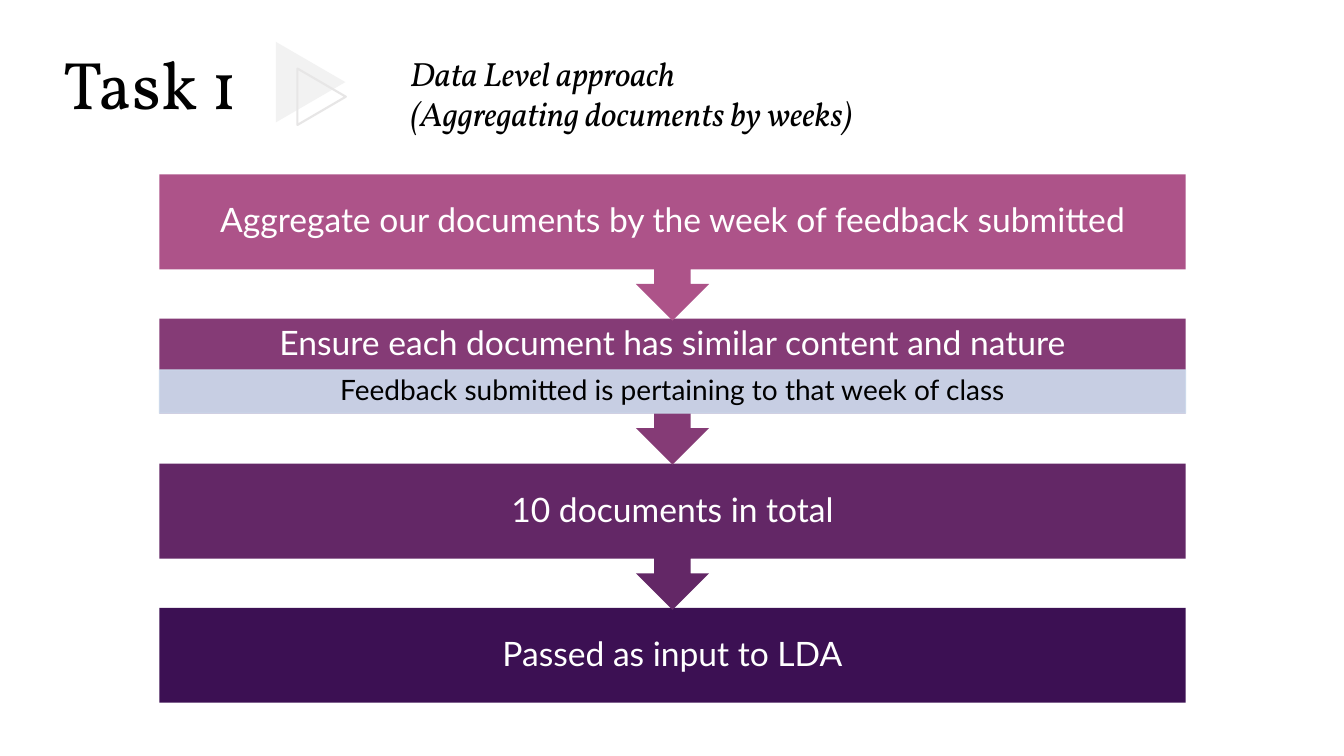
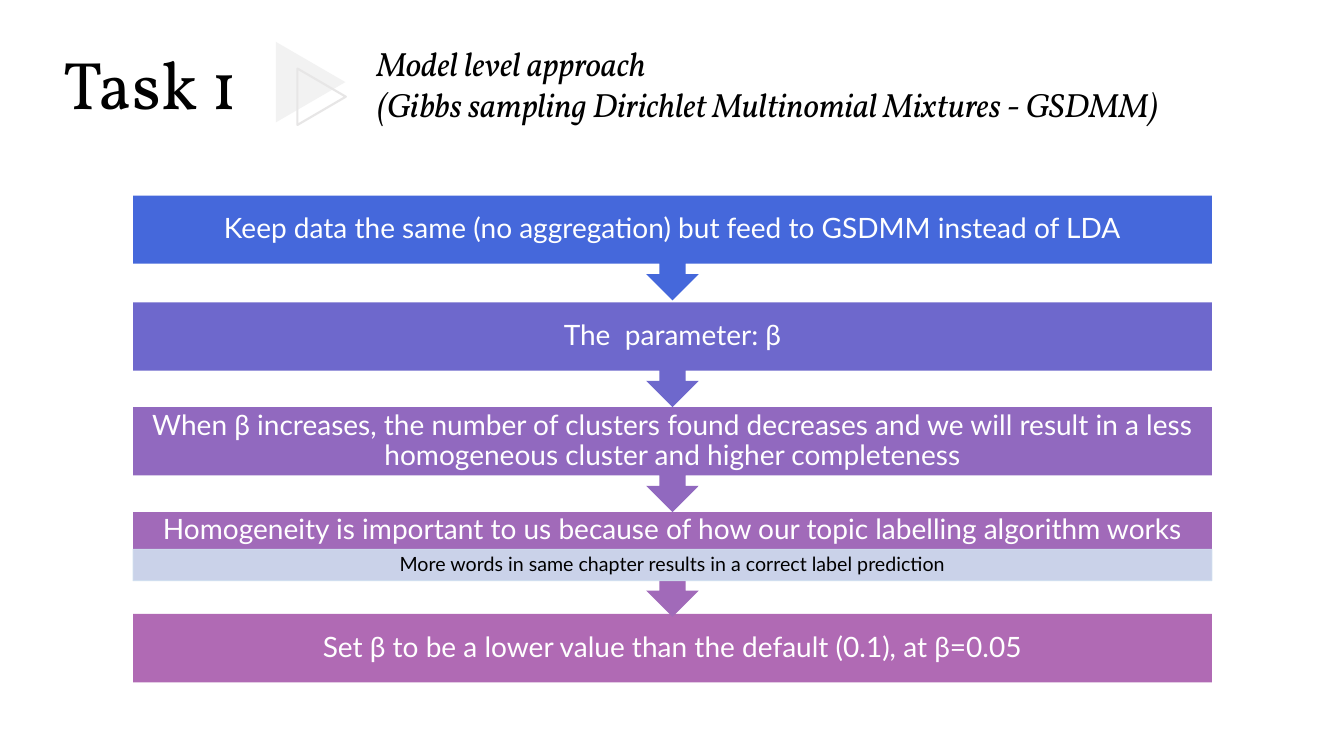
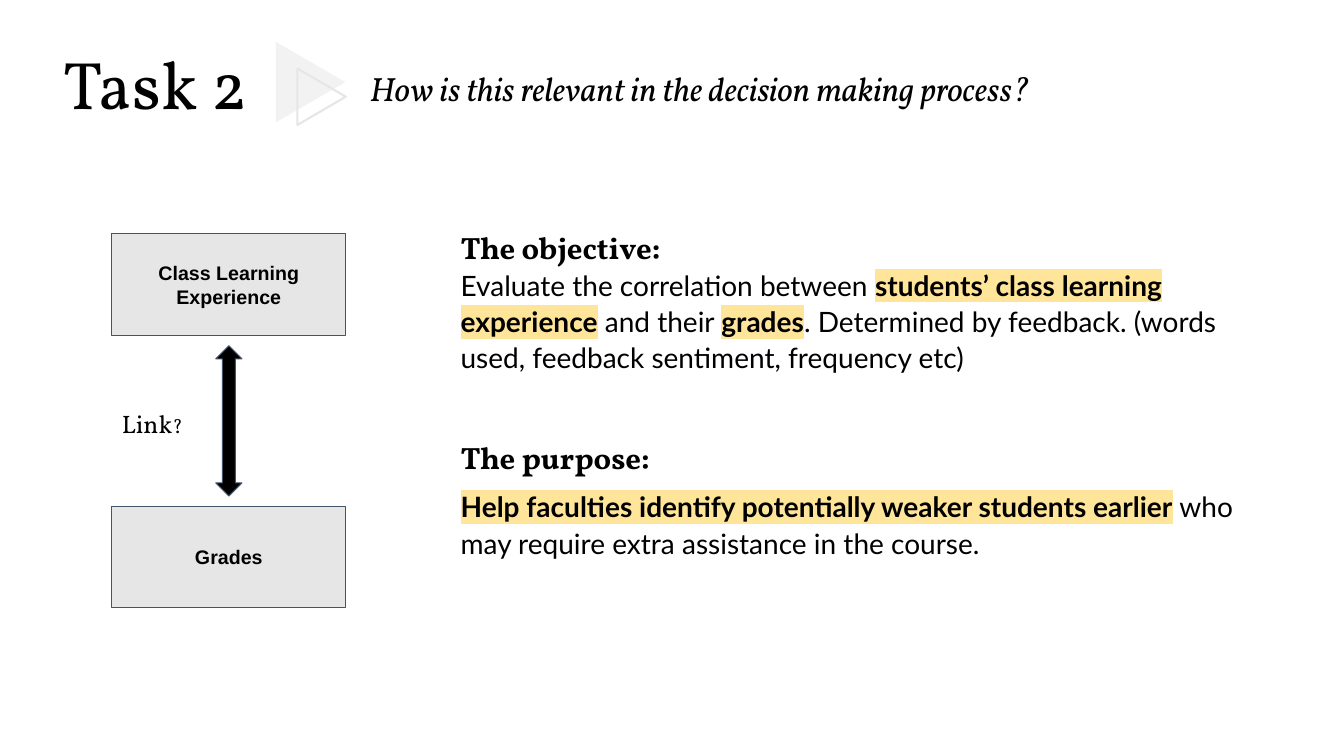
from lxml.etree import SubElement
from pptx import Presentation
from pptx.dml.color import RGBColor
from pptx.enum.shapes import MSO_SHAPE as Preset
from pptx.enum.text import MSO_ANCHOR as Anchor, MSO_AUTO_SIZE as AutoSize, PP_ALIGN as Align
from pptx.oxml.ns import qn
from pptx.util import Inches, Pt

rgb = RGBColor.from_string
SERIF, SANS, LABEL = "Vollkorn", "Lato", "Arial"
BLACK, WHITE, GREY, SLATE = "000000", "FFFFFF", "E7E6E6", "44546A"
PALE_BLUE, HIGHLIGHT = "CFDEEF", "FFE599"


def add_block(shapes, preset, box, fill=None, line=None, weight=0.75):
    block = shapes.add_shape(preset, *map(Inches, box))
    block.shadow.inherit = False
    if fill:
        block.fill.solid()
        block.fill.fore_color.rgb = rgb(fill)
    else:
        block.fill.background()
    if line:
        block.line.color.rgb = rgb(line)
        block.line.width = Pt(weight)
    else:
        block.line.fill.background()
    return block


def write(frame, text, size, font, color=BLACK, align=Align.LEFT, anchor=Anchor.MIDDLE,
          spacing=1.0, bold=False, italic=False, insets=(0.1, 0.05, 0.1, 0.05)):
    frame.text = text
    frame.word_wrap = True
    frame.auto_size = AutoSize.NONE
    frame.vertical_anchor = anchor
    (frame.margin_left, frame.margin_top,
     frame.margin_right, frame.margin_bottom) = map(Inches, insets)
    for paragraph in frame.paragraphs:
        paragraph.alignment = align
        paragraph.line_spacing = spacing
        for run in paragraph.runs:
            run.font.name = font
            run.font.size = Pt(size)
            run.font.bold = bold
            run.font.italic = italic
            run.font.color.rgb = rgb(color)


prs = Presentation()
prs.slide_width, prs.slide_height = Inches(13.33), Inches(7.5)

headers = [
    ("Task 1", "Data Level approach\n(Aggregating documents by weeks)", (3.97, 0.26, 8.34, 1.32)),
    ("Task 1", "Model level approach\n(Gibbs sampling Dirichlet Multinomial Mixtures - GSDMM)",
     (3.64, 0.17, 8.77, 1.32)),
    ("Task 2", "How is this relevant in the decision making process?", (3.57, 0.62, 9.29, 0.5)),
]
slides = []
for task, subtitle, subtitle_box in headers:
    slide = prs.slides.add_slide(prs.slide_layouts[5])
    slides.append(slide)
    title = slide.shapes.title
    title.left, title.top, title.width, title.height = map(Inches, (0.53, 0.37, 2.21, 0.91))
    write(title.text_frame, task, 48, SERIF, anchor=Anchor.TOP)

    ornament = slide.shapes.add_group_shape().shapes
    for box, fill, line in [((2.68, 0.47, 0.8, 0.69), "F2F2F2", None),
                            ((2.91, 0.72, 0.56, 0.48), None, GREY)]:
        add_block(ornament, Preset.ISOSCELES_TRIANGLE, box, fill, line, 1.5).rotation = 90

    heading = slide.shapes.add_textbox(*map(Inches, subtitle_box))
    write(heading.text_frame, subtitle, 24, SERIF, italic=True)

data_steps = [
    (1.73, "AD5389", "Aggregate our documents by the week of feedback submitted", None),
    (3.16, "853B76", "Ensure each document has similar content and nature",
     "Feedback submitted is pertaining to that week of class"),
    (4.6, "632766", "10 documents in total", None),
    (6.03, "3C1053", "Passed as input to LDA", None),
]
model_steps = [
    (1.94, "4568DB", "Keep data the same (no aggregation) but feed to GSDMM instead of LDA", None),
    (3, "6E68CC", "The  parameter: β", None),
    (4.04, "9169BF", "When β increases, the number of clusters found decreases and we will "
     "result in a less homogeneous cluster and higher completeness", None),
    (5.08, "A16AB9", "Homogeneity is important to us because of how our topic labelling "
     "algorithm works", "More words in same chapter results in a correct label prediction"),
    (6.09, "B06AB4", "Set β to be a lower value than the default (0.1), at β=0.05", None),
]
flows = [
    (slides[0], data_steps, 1.58, 10.18, 0.94, 1.45, 0.43, 24, 20, 0.19),
    (slides[1], model_steps, 1.32, 10.7, 0.68, 1.04, 0.31, 20, 14, 0.12),
]
for (slide, steps, left, width, bar_height, arrow_height, detail_height,
     step_size, detail_size, side) in flows:
    for top, color, step, detail in reversed(steps):
        last = step == steps[-1][2]
        bar = add_block(slide.shapes, Preset.RECTANGLE if last else Preset.DOWN_ARROW_CALLOUT,
                        (left, top, width, bar_height if last else arrow_height), color)
        if not last:
            for index, value in enumerate((0.25, 0.25, 0.25, 0.65)):
                bar.adjustments[index] = value
        write(bar.text_frame, step, step_size, SANS, WHITE, Align.CENTER, spacing=0.9,
              insets=(side, 0, side, detail_height if detail else 0))
        if detail:
            strip = add_block(slide.shapes, Preset.RECTANGLE,
                              (left, top + bar_height - detail_height, width, detail_height),
                              PALE_BLUE, PALE_BLUE)
            for tint in strip._element.spPr.iter(qn("a:srgbClr")):
                SubElement(tint, qn("a:alpha")).set("val", "90000")
            write(strip.text_frame, detail, detail_size, SANS, BLACK, Align.CENTER,
                  spacing=0.9, insets=(side, 0.02, side, 0.02))

shapes = slides[2].shapes
for top, label in [(2.32, "Class Learning Experience"), (5.02, "Grades")]:
    factor = add_block(shapes, Preset.RECTANGLE, (1.11, top, 2.32, 1.01), GREY, SLATE)
    write(factor.text_frame, label, 14, LABEL, align=Align.CENTER, bold=True, insets=[0.1] * 4)
relation = add_block(shapes, Preset.UP_DOWN_ARROW, (2.14, 3.43, 0.26, 1.49), BLACK, SLATE)
relation.adjustments[0] = relation.adjustments[1] = 0.5

question = shapes.add_textbox(*map(Inches, (1.11, 3.95, 1.17, 0.45))).text_frame
write(question, "Link", 18, SERIF, anchor=Anchor.TOP, insets=[0.1] * 4)
mark = question.paragraphs[0].add_run()
mark.text = "?"
mark.font.name, mark.font.size = SERIF, Pt(14)
mark.font.color.rgb = rgb(BLACK)

goals = [
    ("The objective:", 0, []),
    ("", 0, [("Evaluate the correlation between ", False),
             ("students’ class learning experience", True),
             (" and their ", False),
             ("grades", True),
             (". Determined by feedback. (words used, feedback sentiment, frequency etc)", False)]),
    ("The purpose:", 44, []),
    ("", 8, [("Help faculties identify potentially weaker students earlier", True),
             (" who may require extra assistance in the course.", False)]),
]
body = shapes.add_textbox(*map(Inches, (4.47, 2.19, 7.92, 4.81))).text_frame
write(body, "\n".join(goal for goal, _, _ in goals), 22, SERIF, anchor=Anchor.TOP,
      spacing=1.08, bold=True)
for paragraph, (_, gap, phrases) in zip(body.paragraphs, goals):
    if gap:
        paragraph.space_before = Pt(gap)
    for words, key in phrases:
        run = paragraph.add_run()
        run.text = words
        run.font.name, run.font.size, run.font.bold = SANS, Pt(20), key
        run.font.color.rgb = rgb(BLACK)
        if key:
            properties = run.font._element
            marker = properties.makeelement(qn("a:highlight"), {})
            SubElement(marker, qn("a:srgbClr")).set("val", HIGHLIGHT)
            properties.find(qn("a:latin")).addprevious(marker)

prs.save("out.pptx")
